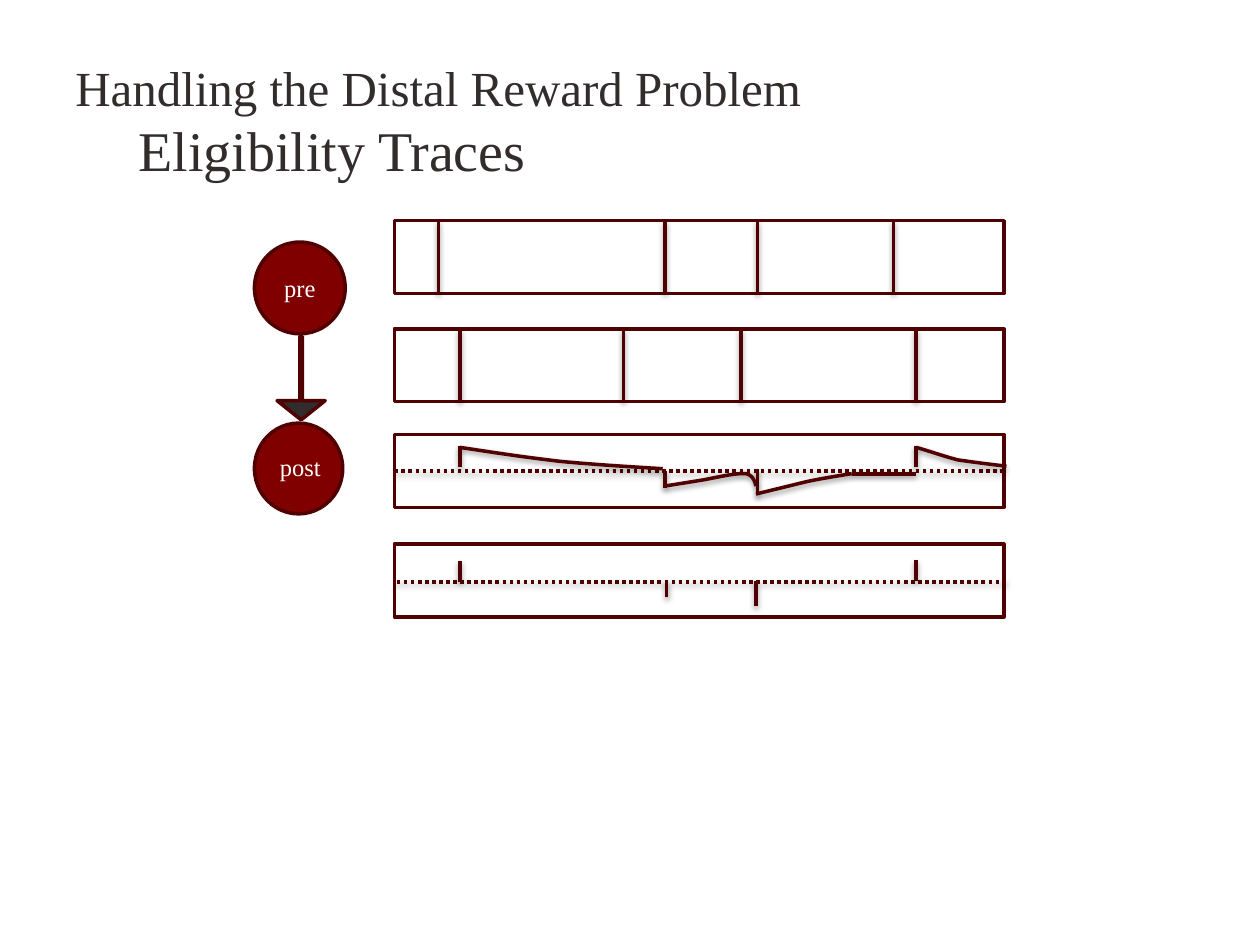
from lxml import etree
from pptx import Presentation
from pptx.dml.color import RGBColor
from pptx.enum.dml import MSO_LINE_DASH_STYLE as Dash
from pptx.enum.shapes import MSO_CONNECTOR, MSO_SHAPE as Preset
from pptx.enum.text import MSO_ANCHOR as Anchor, PP_ALIGN as Align
from pptx.oxml import parse_xml
from pptx.oxml.ns import nsdecls, qn
from pptx.util import Cm, Pt

FONT = "Times New Roman"
WHITE = RGBColor(0xFF, 0xFF, 0xFF)
CHARCOAL = RGBColor(0x33, 0x2C, 0x2C)
RED = RGBColor(0x80, 0x00, 0x00)
MAROON = RGBColor(0x50, 0x00, 0x00)

SHADOW = (
    f'<a:effectLst {nsdecls("a")}>'
    '<a:outerShdw blurRad="40000" dist="20000" dir="5400000" rotWithShape="0">'
    '<a:srgbClr val="000000"><a:alpha val="38000"/></a:srgbClr>'
    '</a:outerShdw></a:effectLst>'
)

PANEL_LEFT, PANEL_WIDTH, PANEL_HEIGHT = 7.95, 12.29, 1.47
PRE_TOP, POST_TOP, TRACE_TOP, EVENT_TOP = 4.45, 6.63, 8.76, 10.97
PRE_SPIKES = (8.84, 13.41, 15.27, 18.01)
POST_SPIKES = (9.27, 12.57, 14.94, 18.47)

# Each tick is x, start y, end y.
TRACE_TICKS = ((9.27, 9.42, 8.99), (13.41, 9.83, 9.5),
               (15.27, 9.96, 9.45), (18.47, 9.42, 8.99))
EVENT_TICKS = ((9.27, 11.73, 11.3), (13.44, 12.04, 11.71),
               (15.24, 12.22, 11.71), (18.47, 11.71, 11.28))

# Each curve is a start point and segments of one (line) or three (cubic) points.
TRACE_CURVES = (
    ((9.27, 9.02), (((9.93, 9.12), (10.59, 9.22), (11.28, 9.3)),
                    ((11.96, 9.37), (13.36, 9.45), (13.36, 9.45)))),
    ((13.39, 9.8), (((14.15, 9.68),),
                    ((14.43, 9.63), (14.83, 9.53), (15.04, 9.55)),
                    ((15.21, 9.58), (15.24, 9.8), (15.24, 9.8)))),
    ((15.24, 9.96), (((16.18, 9.73),),
                     ((16.51, 9.65), (17.17, 9.55), (17.17, 9.55)))),
    ((18.47, 9.02), (((18.72, 9.09), (19, 9.19), (19.3, 9.27)),
                     ((19.61, 9.32), (20.29, 9.4), (20.29, 9.4)))),
)


def bezier_point(points, t):
    """Reduce control points of any degree to the point at t."""
    while len(points) > 1:
        points = [(x1 + (x2 - x1) * t, y1 + (y2 - y1) * t)
                  for (x1, y1), (x2, y2) in zip(points, points[1:])]
    return points[0]


def sample_segment(start, segment, steps=12):
    count = 1 if len(segment) == 1 else steps
    return [bezier_point([start, *segment], i / count) for i in range(1, count + 1)]


class Drawing:
    """Holds the line style and the slide being drawn; lengths are in cm."""

    def __init__(self, slide):
        self.slide = slide
        self.line_color = MAROON
        self.line_width = Pt(2)

    def style_line(self, shape, dash=None):
        shape.line.color.rgb = self.line_color
        shape.line.width = self.line_width
        if dash is not None:
            shape.line.dash_style = dash

    def cast_shadow(self, shape):
        properties = shape._element.spPr
        for effects in properties.findall(qn("a:effectLst")):
            properties.remove(effects)
        properties.append(parse_xml(SHADOW))

    def run(self, paragraph, text, size, color):
        run = paragraph.add_run()
        run.text = text
        run.font.name = FONT
        run.font.size = Pt(size)
        run.font.color.rgb = color

    def shape(self, preset, left, top, width, height, fill):
        shape = self.slide.shapes.add_shape(
            preset, Cm(left), Cm(top), Cm(width), Cm(height))
        shape.shadow.inherit = False
        shape.fill.solid()
        shape.fill.fore_color.rgb = fill
        self.style_line(shape)
        return shape

    def text_box(self, left, top, width, height, wrap):
        box = self.slide.shapes.add_textbox(Cm(left), Cm(top), Cm(width), Cm(height))
        box.text_frame.word_wrap = wrap
        return box

    def label(self, shape, text):
        shape.text_frame.vertical_anchor = Anchor.MIDDLE
        paragraph = shape.text_frame.paragraphs[0]
        paragraph.alignment = Align.CENTER
        self.run(paragraph, text, 14, WHITE)

    def title(self, first_line, second_line):
        frame = self.text_box(1.27, 0.91, 22.86, 3.02, True).text_frame
        frame.vertical_anchor = Anchor.MIDDLE
        paragraph = frame.paragraphs[0]
        tabs = etree.SubElement(paragraph._p.get_or_add_pPr(), qn("a:tabLst"))
        etree.SubElement(tabs, qn("a:tab"), pos=str(Cm(1.27)), algn="l")
        self.run(paragraph, first_line, 28, CHARCOAL)
        paragraph.add_line_break()
        self.run(paragraph, "\t" + second_line, 32, CHARCOAL)

    def line(self, x1, y1, x2, y2, dash=None):
        line = self.slide.shapes.add_connector(
            MSO_CONNECTOR.STRAIGHT, Cm(x1), Cm(y1), Cm(x2), Cm(y2))
        self.style_line(line, dash)
        self.cast_shadow(line)

    def ticks(self, ticks):
        for x, start, end in ticks:
            self.line(x, start, x, end)

    def curve(self, start, segments):
        points = [start]
        for segment in segments:
            points += sample_segment(points[-1], segment)
        (x, y), *rest = [(Cm(px), Cm(py)) for px, py in points]
        builder = self.slide.shapes.build_freeform(x, y)
        builder.add_line_segments(rest, close=False)
        shape = builder.convert_to_shape()
        shape.fill.background()
        self.style_line(shape)
        self.cast_shadow(shape)

    def panel(self, top):
        self.shape(Preset.RECTANGLE, PANEL_LEFT, top, PANEL_WIDTH, PANEL_HEIGHT, WHITE)

    def baseline(self, left, y):
        self.line(left, y, left + PANEL_WIDTH, y, Dash.ROUND_DOT)


def main():
    presentation = Presentation()
    presentation.slide_width, presentation.slide_height = Cm(25.4), Cm(19.05)
    drawing = Drawing(presentation.slides.add_slide(presentation.slide_layouts[6]))

    drawing.title("Handling the Distal Reward Problem", "Eligibility Traces")

    synapse = drawing.shape(Preset.RIGHT_ARROW, 5.23, 7.14, 1.68, 0.97, CHARCOAL)
    synapse.rotation = 90
    synapse.adjustments[0], synapse.adjustments[1] = 0.05, 0.4
    drawing.shape(Preset.OVAL, 5.13, 8.53, 1.78, 1.83, RED)
    drawing.label(drawing.shape(Preset.OVAL, 5.13, 4.88, 1.83, 1.85, RED), "pre")
    drawing.label(drawing.text_box(5.33, 8.97, 1.45, 0.86, False), "post")

    for top, spikes in ((PRE_TOP, PRE_SPIKES), (POST_TOP, POST_SPIKES)):
        drawing.panel(top)
        drawing.ticks((x, top, top + PANEL_HEIGHT) for x in spikes)

    drawing.panel(TRACE_TOP)
    drawing.baseline(PANEL_LEFT, 9.5)
    drawing.ticks(TRACE_TICKS)
    for start, segments in TRACE_CURVES:
        drawing.curve(start, segments)
    drawing.line(17.17, 9.55, 18.47, 9.55)

    drawing.panel(EVENT_TOP)
    drawing.baseline(8, 11.73)
    drawing.ticks(EVENT_TICKS)

    presentation.save("out.pptx")


if __name__ == "__main__":
    main()
